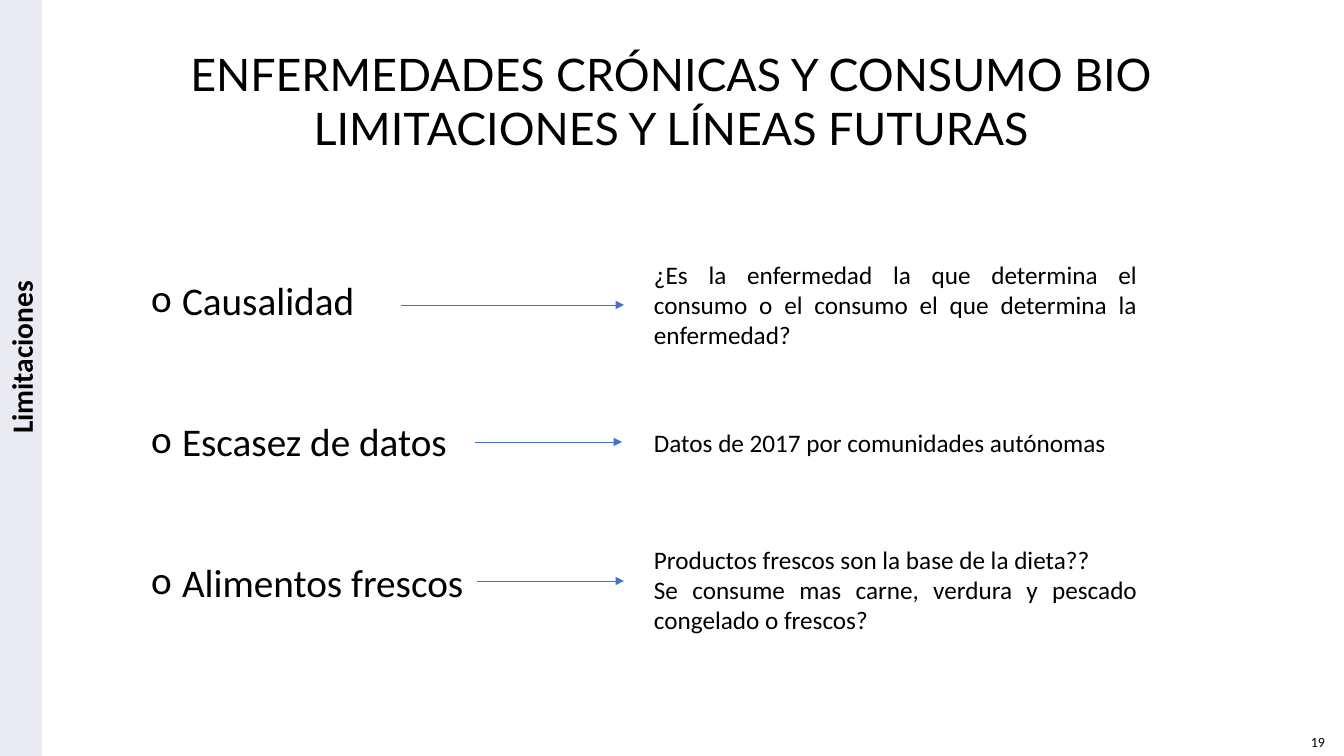
import dataclasses

import lxml.etree
import pptx
import pptx.dml.color
import pptx.enum.shapes
import pptx.enum.text
import pptx.oxml.ns
import pptx.shapes.autoshape
import pptx.slide
import pptx.text.text
import pptx.util

WIDE, HIGH = 1344, 756
SCALE = 12192000 / WIDE
BLACK = pptx.dml.color.RGBColor(0x00, 0x00, 0x00)
BLUE = pptx.dml.color.RGBColor(0x44, 0x72, 0xC4)
LILAC = pptx.dml.color.RGBColor(0xEA, 0xEA, 0xF2)
ALIGN = pptx.enum.text.PP_ALIGN


@dataclasses.dataclass(frozen=True)
class Box:
    left: int
    top: int
    width: int
    height: int


@dataclasses.dataclass(frozen=True)
class Limit:
    name: str
    notes: tuple[str, ...]
    box: Box
    start: int
    end: int
    level: int


@dataclasses.dataclass(frozen=True)
class Style:
    size: int
    face: str = "Calibri"
    align: ALIGN = ALIGN.JUSTIFY
    bold: bool = False


LIMITS = (
    Limit(
        "Causalidad",
        ("¿Es la enfermedad la que determina el consumo o el consumo el que determina la enfermedad?",),
        Box(644, 254, 503, 102), 401, 624, 305,
    ),
    Limit(
        "Escasez de datos",
        ("Datos de 2017 por comunidades autónomas",),
        Box(644, 422, 503, 40), 475, 622, 442,
    ),
    Limit(
        "Alimentos frescos",
        (
            "Productos frescos son la base de la dieta??",
            "Se consume mas carne, verdura y pescado congelado o frescos?",
        ),
        Box(644, 539, 503, 102), 477, 624, 581,
    ),
)


def emu(px: int) -> pptx.util.Emu:
    return pptx.util.Emu(round(px * SCALE))


def place(shape: pptx.shapes.autoshape.Shape, box: Box) -> None:
    shape.left, shape.top = emu(box.left), emu(box.top)
    shape.width, shape.height = emu(box.width), emu(box.height)


def mark(para: pptx.text.text._Paragraph) -> None:
    props = para._p.get_or_add_pPr()
    props.set("marL", str(emu(31)))
    props.set("indent", str(emu(-31)))
    font = lxml.etree.SubElement(props, pptx.oxml.ns.qn("a:buFont"))
    font.set("typeface", "Calibri")
    sign = lxml.etree.SubElement(props, pptx.oxml.ns.qn("a:buChar"))
    sign.set("char", "o")


def write(
    shape: pptx.shapes.autoshape.Shape,
    lines: tuple[str, ...],
    style: Style,
    gap: int = 0,
    listed: bool = False,
) -> None:
    frame = shape.text_frame
    frame.word_wrap = True
    frame.auto_size = pptx.enum.text.MSO_AUTO_SIZE.NONE
    frame.vertical_anchor = pptx.enum.text.MSO_ANCHOR.TOP
    frame.text = "\n".join(lines)
    for rank, para in enumerate(frame.paragraphs):
        para.alignment = style.align
        para.line_spacing = 1.0
        para.space_before = pptx.util.Pt(gap if rank else 0)
        if listed:
            mark(para)
        para.font.name = style.face
        para.font.size = pptx.util.Pt(style.size)
        para.font.bold = style.bold
        para.font.color.rgb = BLACK


def label(
    slide: pptx.slide.Slide, box: Box, lines: tuple[str, ...], style: Style
) -> pptx.shapes.autoshape.Shape:
    shape = slide.shapes.add_textbox(0, 0, 0, 0)
    place(shape, box)
    write(shape, lines, style)
    return shape


def arrow(slide: pptx.slide.Slide, limit: Limit) -> None:
    line = slide.shapes.add_connector(
        pptx.enum.shapes.MSO_CONNECTOR.STRAIGHT,
        emu(limit.start), emu(limit.level), emu(limit.end), emu(limit.level),
    )
    line.line.color.rgb = BLUE
    line.line.width = pptx.util.Pt(0.5)
    tip = lxml.etree.SubElement(line.line._get_or_add_ln(), pptx.oxml.ns.qn("a:tailEnd"))
    tip.set("type", "triangle")
    lxml.etree.SubElement(line._element.spPr, pptx.oxml.ns.qn("a:effectLst"))


def main() -> None:
    deck = pptx.Presentation()
    deck.slide_width, deck.slide_height = emu(WIDE), emu(HIGH)
    slide = deck.slides.add_slide(deck.slide_layouts[1])

    title = slide.shapes.title
    place(title, Box(141, 42, 1061, 119))
    heads = ("ENFERMEDADES CRÓNICAS Y CONSUMO BIO", "LIMITACIONES Y LÍNEAS FUTURAS")
    write(title, heads, Style(32, "Lato", ALIGN.CENTER))

    body = slide.placeholders[1]
    place(body, Box(141, 271, 503, 343))
    names = tuple(limit.name for limit in LIMITS)
    write(body, names, Style(28), gap=67, listed=True)

    for limit in LIMITS:
        label(slide, limit.box, limit.notes, Style(18))
        arrow(slide, limit)

    band = slide.shapes.add_shape(pptx.enum.shapes.MSO_SHAPE.RECTANGLE, 0, 0, 0, 0)
    place(band, Box(0, 0, 42, HIGH))
    band.shadow.inherit = False
    band.fill.solid()
    band.fill.fore_color.rgb = LILAC
    band.line.fill.background()

    side = label(
        slide, Box(-106, 335, 254, 45), ("Limitaciones",),
        Style(21, align=ALIGN.CENTER, bold=True),
    )
    side.rotation = 270
    label(slide, Box(1301, 729, 41, 27), ("19",), Style(10, align=ALIGN.LEFT))

    deck.save("out.pptx")


if __name__ == "__main__":
    main()
